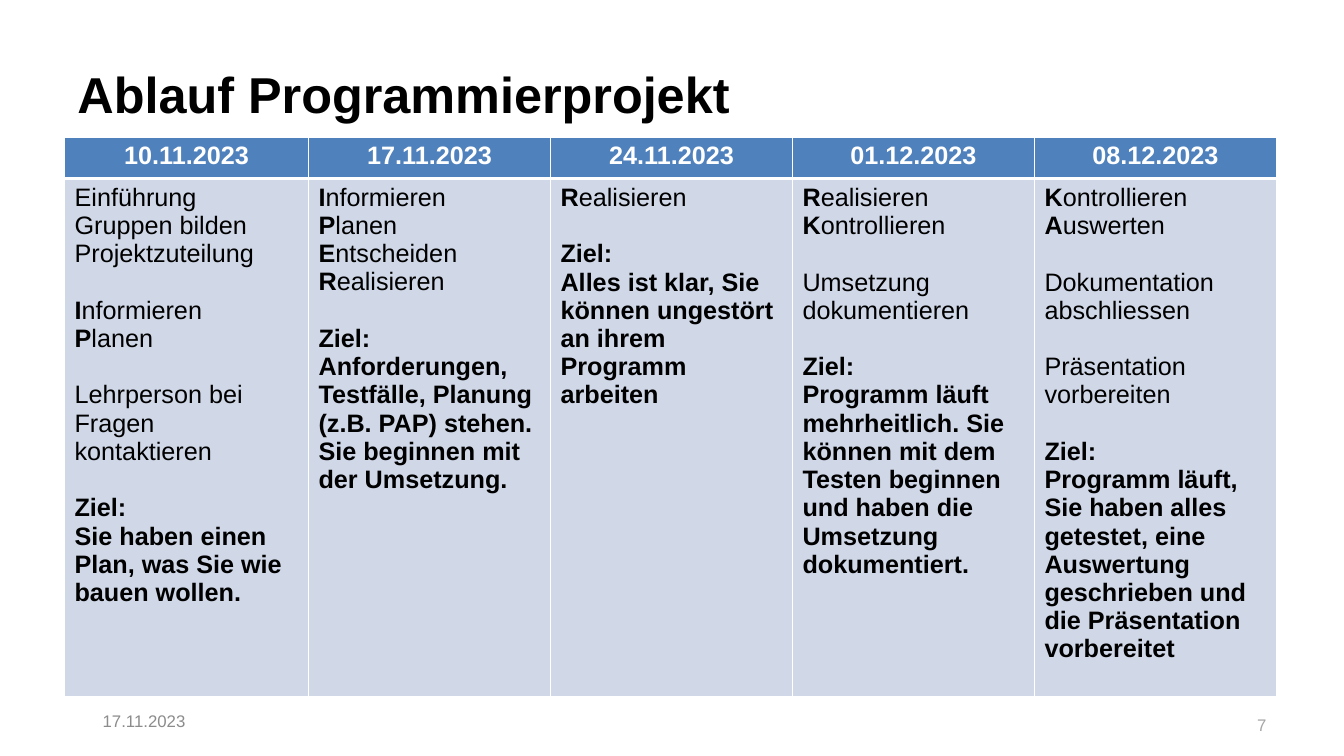
from dataclasses import dataclass

from lxml.etree import SubElement
from pptx import Presentation
from pptx.dml.color import RGBColor
from pptx.enum.text import MSO_ANCHOR, PP_ALIGN
from pptx.oxml.ns import qn
from pptx.util import Inches, Pt

COLORS = {
    "black": "000000", "white": "FFFFFF", "head": "4F81BD",
    "body": "D0D8E8", "date": "8C8C8C", "page": "A6A6A6",
}
PHASES = {"Informieren", "Planen", "Entscheiden", "Realisieren",
          "Kontrollieren", "Auswerten"}
GAP = Pt(20.2)


@dataclass
class Label:
    text: str
    box: tuple[float, float, float, float]
    size: int
    color: str
    bold: bool = False
    align: PP_ALIGN = PP_ALIGN.LEFT


@dataclass
class Day:
    date: str
    groups: list[list[str]]
    goal: list[str]


LABELS = [
    Label("Ablauf Programmierprojekt", (0.67, 0.3, 12, 1.25), 36, "black", True),
    Label("7", (11.93, 6.99, 0.73, 0.4), 12, "page", align=PP_ALIGN.RIGHT),
    Label("17.11.2023", (0.92, 6.95, 3, 0.4), 12, "date"),
]
DAYS = [
    Day("10.11.2023",
        [["Einführung", "Gruppen bilden", "Projektzuteilung"],
         ["Informieren", "Planen"],
         ["Lehrperson bei Fragen kontaktieren"]],
        ["Ziel:\vSie haben einen Plan, was Sie wie bauen wollen."]),
    Day("17.11.2023",
        [["Informieren", "Planen", "Entscheiden", "Realisieren"]],
        ["Ziel: Anforderungen, Testfälle, Planung (z.B. PAP) stehen. "
         "Sie beginnen mit der Umsetzung."]),
    Day("24.11.2023",
        [["Realisieren"]],
        ["Ziel:\vAlles ist klar, Sie können ungestört an ihrem "
         "Programm arbeiten"]),
    Day("01.12.2023",
        [["Realisieren", "Kontrollieren"], ["Umsetzung dokumentieren"]],
        ["Ziel:",
         "Programm läuft mehrheitlich. Sie können mit dem Testen beginnen "
         "und haben die Umsetzung dokumentiert."]),
    Day("08.12.2023",
        [["Kontrollieren", "Auswerten"], ["Dokumentation abschliessen"],
         ["Präsentation vorbereiten"]],
        ["Ziel:",
         "Programm läuft, Sie haben alles getestet, eine Auswertung "
         "geschrieben und die Präsentation vorbereitet"]),
]


def style(font, size: int, color: str, bold: bool | None = None) -> None:
    font.name = "Arial"
    font.size = Pt(size)
    font.bold = bold
    font.color.rgb = RGBColor.from_string(COLORS[color])


def add_label(slide, label: Label) -> None:
    box = slide.shapes.add_textbox(*map(Inches, label.box))
    frame = box.text_frame
    frame.word_wrap = True
    frame.vertical_anchor = MSO_ANCHOR.MIDDLE
    para = frame.paragraphs[0]
    para.text = label.text
    para.alignment = label.align
    style(para.font, label.size, label.color, label.bold)


def paint(cell, fill: str, top: int, bottom: int) -> None:
    props = cell._tc.get_or_add_tcPr()
    for side, width in zip("LRTB", (1, 1, top, bottom)):
        line = SubElement(props, qn(f"a:ln{side}"), w=str(Pt(width)))
        paper = SubElement(line, qn("a:solidFill"))
        SubElement(paper, qn("a:srgbClr"), val=COLORS["white"])
    cell.fill.solid()
    cell.fill.fore_color.rgb = RGBColor.from_string(COLORS[fill])


def fill_head(cell, date: str) -> None:
    paint(cell, "head", 1, 3)
    para = cell.text_frame.paragraphs[0]
    para.text = date
    para.alignment = PP_ALIGN.CENTER
    style(para.font, 18, "white", True)


def fill_body(cell, day: Day) -> None:
    paint(cell, "body", 3, 1)
    frame = cell.text_frame
    para = frame.paragraphs[0]
    for group in [*day.groups, day.goal]:
        for index, text in enumerate(group):
            if para.text:
                para = frame.add_paragraph()
                para.space_before = Pt(0) if index else GAP
            style(para.font, 18, "black", group is day.goal)
            if text in PHASES:
                # Bold initial of each project phase
                first = para.add_run()
                first.text = text[0]
                style(first.font, 18, "black", True)
                para.add_run().text = text[1:]
            else:
                para.text = text


def add_plan(slide) -> None:
    frame = slide.shapes.add_table(2, len(DAYS), Inches(0.64), Inches(1.36),
                                   Inches(12.02), Inches(5.26))
    table = frame.table
    table.rows[0].height = Inches(0.41)
    table.rows[1].height = Inches(4.85)
    for index, day in enumerate(DAYS):
        table.columns[index].width = Inches(2.4 if index else 2.42)
        fill_head(table.cell(0, index), day.date)
        fill_body(table.cell(1, index), day)


def main() -> None:
    deck = Presentation()
    deck.slide_width = Inches(13.33)
    deck.slide_height = Inches(7.5)
    slide = deck.slides.add_slide(deck.slide_layouts[6])

    # Title, page number and date
    for label in LABELS:
        add_label(slide, label)

    # Schedule
    add_plan(slide)
    deck.save("out.pptx")


if __name__ == "__main__":
    main()
